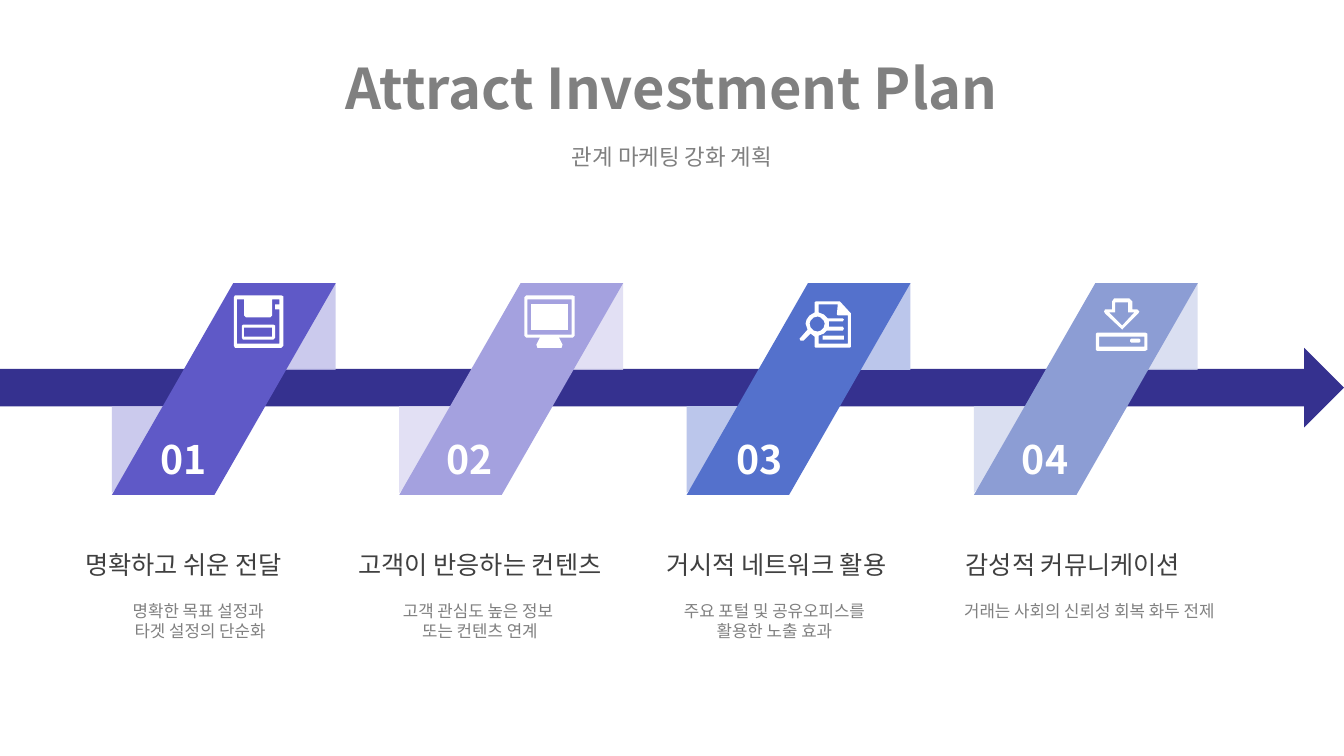
from math import cos, pi, sin

from lxml import etree
from pptx import Presentation
from pptx import util as u
from pptx.dml.color import RGBColor
from pptx.enum import shapes, text
from pptx.oxml import ns

FONT = "Noto Sans CJK KR"
WHITE = RGBColor(0xFF, 0xFF, 0xFF)
GRAY = RGBColor(0x80, 0x80, 0x80)
DARK = RGBColor(0x40, 0x40, 0x40)
NAVY = RGBColor(0x35, 0x31, 0x8F)
VIOLET = RGBColor(0x5F, 0x59, 0xC7)
VIOLET_FOLD = RGBColor(0xBF, 0xBD, 0xE9)
LILAC = RGBColor(0xA4, 0xA1, 0xDF)
LILAC_FOLD = RGBColor(0xDB, 0xD9, 0xF2)
BLUE = RGBColor(0x54, 0x71, 0xCC)
BLUE_FOLD = RGBColor(0xBB, 0xC6, 0xEB)
STEEL = RGBColor(0x8C, 0x9D, 0xD4)
STEEL_FOLD = RGBColor(0xD1, 0xD8, 0xEE)

BANNER_TOP = 2.81
BANNER_PITCH = 2.85
CAPTION_PITCH = 2.94


def rounded(x, y, w, h, r=0):
    if not r:
        return [(x, y), (x + w, y), (x + w, y + h), (x, y + h)]
    centers = [(x + w - r, y + h - r), (x + r, y + h - r),
               (x + r, y + r), (x + w - r, y + r)]
    return [(cx + r * cos(a), cy + r * sin(a))
            for q, (cx, cy) in enumerate(centers)
            for a in [(q + k / 3) * pi / 2 for k in range(4)]]


FLOPPY = [
    [rounded(121, 12, 49, 52, 3),
     [(166, 26), (166, 60), (124, 60), (124, 16), (131, 16), (131, 32),
      (133, 34), (157, 34), (159, 32), (159, 16), (166, 16), (166, 21),
      (162, 21), (162, 26)]],
    [rounded(129, 41, 33, 15, 3), rounded(131, 44, 28, 9)],
]
MONITOR = [
    [rounded(131, 21, 36, 25)],
    [rounded(124, 12, 50, 42, 3), rounded(127, 16, 44, 35)],
    [[(140, 53), (158, 53), (162, 61), (161, 64), (137, 64), (136, 61)]],
]
DOCUMENT = [
    [rounded(135, 52, 21, 4, 1)],
    [[(116, 57), (123, 50), (127, 53), (127, 63), (128, 64), (162, 64),
      (163, 63), (163, 30), (152, 18), (128, 18), (127, 19), (127, 29),
      (122, 32), (119, 36), (118, 40), (120, 46), (113, 54), (112, 55),
      (113, 57), (115, 57)],
     [(131, 21), (150, 21), (149, 31), (150, 32), (160, 32), (160, 60),
      (131, 60), (131, 52), (136, 50), (139, 47), (155, 47), (156, 45),
      (155, 43), (141, 43), (141, 38), (155, 38), (156, 36), (155, 35),
      (140, 35), (136, 31), (131, 29)],
     rounded(122, 33, 15, 15, 7.5)],
]
DOWNLOAD = [
    [[(139, 15), (154, 15), (157, 18), (157, 26), (162, 26), (164, 28),
      (163, 30), (148, 45), (147, 46), (146, 45), (130, 30), (129, 28),
      (130, 26), (137, 26), (137, 18)],
     [(159, 29), (147, 42), (134, 29), (140, 29), (140, 19), (153, 19),
      (153, 29)]],
    [rounded(121, 49, 51, 18, 3), rounded(124, 53, 45, 10)],
    [rounded(155, 55, 10, 4, 2)],
]

STEPS = [
    ("01", 1.35, VIOLET, VIOLET_FOLD, 80, FLOPPY, "명확하고 쉬운 전달",
     ["명확한 목표 설정과 ", "타겟 설정의 단순화"], 3.05),
    ("02", 4.18, LILAC, LILAC_FOLD, 80, MONITOR, "고객이 반응하는 컨텐츠",
     ["고객 관심도 높은 정보 ", "또는 컨텐츠 연계"], 2.72),
    ("03", 7.06, BLUE, BLUE_FOLD, 100, DOCUMENT, "거시적 네트워크 활용",
     ["주요 포털 및 공유오피스를 ", "활용한 노출 효과 "], 2.72),
    ("04", 9.89, STEEL, STEEL_FOLD, 80, DOWNLOAD, "감성적 커뮤니케이션",
     ["거래는 사회의 신뢰성 회복 화두 전제"], 3.05),
]


def paint(sp, color, opacity=100):
    sp.shadow.inherit = False
    sp.fill.solid()
    sp.fill.fore_color.rgb = color
    sp.line.fill.background()
    if opacity < 100:
        clr = sp.fill._xPr.find(".//" + ns.qn("a:srgbClr"))
        etree.SubElement(clr, ns.qn("a:alpha"), val=str(opacity * 1000))


def add_preset(s, kind, box, color, adj=(), flip=None, opacity=100):
    sp = s.shapes.add_shape(kind, *map(u.Inches, box))
    paint(sp, color, opacity)
    for i, value in enumerate(adj):
        sp.adjustments[i] = value
    if flip:
        sp._element.spPr.find(ns.qn("a:xfrm")).set(flip, "1")


def add_text(s, box, lines, size, color, bold=False,
             anchor=text.MSO_ANCHOR.TOP):
    tf = s.shapes.add_textbox(*map(u.Inches, box)).text_frame
    frame_format = {"word_wrap": True, "vertical_anchor": anchor}
    for name, value in frame_format.items():
        setattr(tf, name, value)
    para_format = {"alignment": text.PP_ALIGN.CENTER,
                   "line_spacing": u.Pt(size * 1.2)}
    font_format = {"name": FONT, "size": u.Pt(size), "bold": bold}
    for i, line in enumerate(lines):
        p = tf.add_paragraph() if i else tf.paragraphs[0]
        for name, value in para_format.items():
            setattr(p, name, value)
        r = p.add_run()
        r.text = line
        for name, value in font_format.items():
            setattr(r.font, name, value)
        r.font.color.rgb = color
        etree.SubElement(r._r.get_or_add_rPr(), ns.qn("a:ea"), typeface=FONT)


def add_icon(s, left, parts):
    for contours in parts:
        first, *holes = contours
        fb = s.shapes.build_freeform(*first[0], scale=u.Inches(0.01))
        fb.add_line_segments(first[1:])
        for hole in holes:
            fb.move_to(*hole[0])
            fb.add_line_segments(hole[1:])
        paint(fb.convert_to_shape(u.Inches(left), u.Inches(BANNER_TOP)), WHITE)


def add_banner(s, left, number, number_left, color, fold, opacity, icon):
    kind = shapes.MSO_SHAPE
    for x, y, flip in [(left + 1.36, BANNER_TOP, "flipH"),
                       (left, BANNER_TOP + 1.22, "flipV")]:
        add_preset(s, kind.RIGHT_TRIANGLE, (x, y, 0.86, 0.86), fold,
                   flip=flip, opacity=opacity)
    add_preset(s, kind.PARALLELOGRAM, (left, BANNER_TOP, 2.22, 2.1), color,
               adj=[0.573])
    add_text(s, (number_left, 4.27, 0.95, 0.57), [number], 28, WHITE, True)
    add_icon(s, left, icon)


def add_caption(s, left, heading, details, width):
    add_text(s, (left, 5.4, 3.38, 0.4), [heading], 18, DARK)
    box = (left + 0.33, 5.91, width, 0.1 + 0.2 * len(details))
    add_text(s, box, details, 12, GRAY)


def main():
    prs = Presentation()
    prs.slide_width, prs.slide_height = u.Inches(13.33), u.Inches(7.5)
    s = prs.slides.add_slide(prs.slide_layouts[6])
    add_text(s, (0.88, 0.36, 11.56, 1), ["Attract Investment Plan"], 40, GRAY,
             True, text.MSO_ANCHOR.MIDDLE)
    add_text(s, (0.88, 1.37, 11.57, 0.41), ["관계 마케팅 강화 계획"], 16, GRAY)
    add_preset(s, shapes.MSO_SHAPE.RIGHT_ARROW, (0, 3.45, 13.33, 0.79), NAVY,
               adj=[0.47, 0.5])
    for i, (*banner, heading, details, width) in enumerate(STEPS):
        add_banner(s, 1.11 + i * BANNER_PITCH, *banner)
        add_caption(s, 0.13 + i * CAPTION_PITCH, heading, details, width)
    prs.save("out.pptx")


if __name__ == "__main__":
    main()
